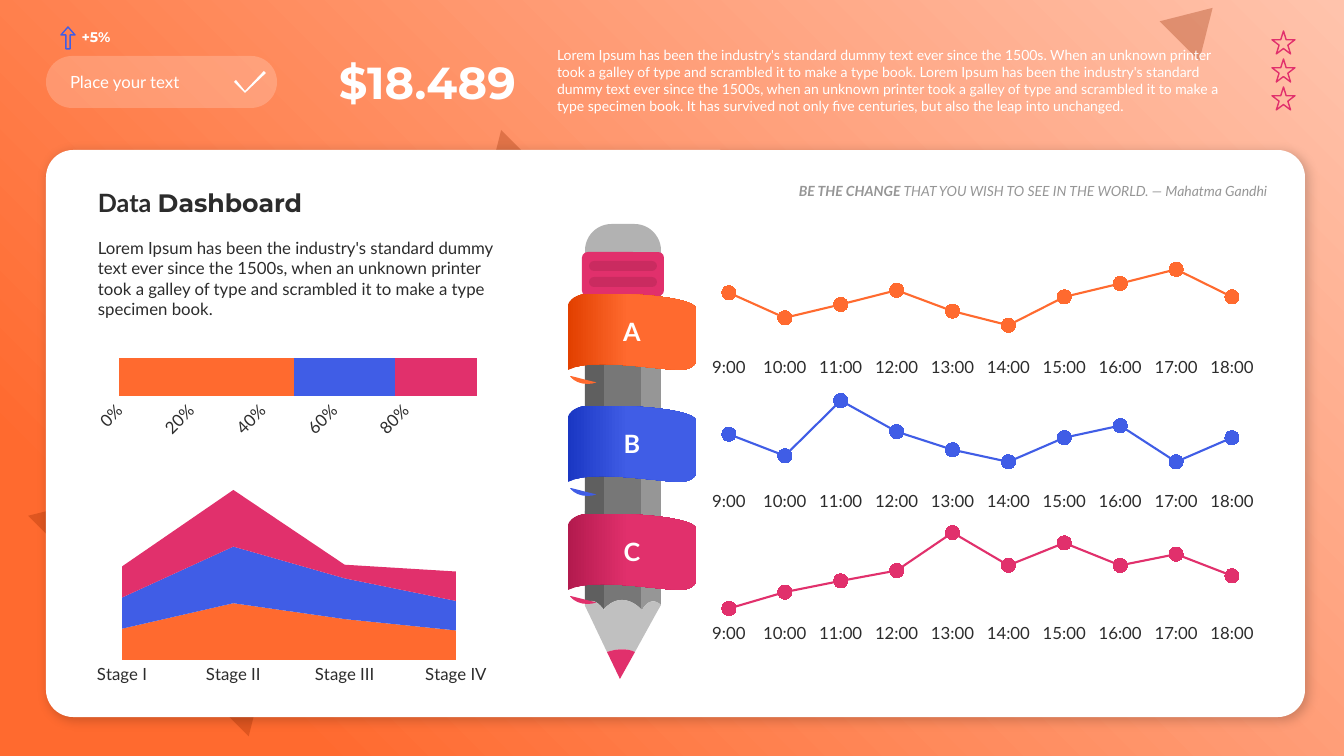
from dataclasses import dataclass

from pptx import Presentation
from pptx.chart.data import CategoryChartData
from pptx.dml.color import RGBColor
from pptx.enum.chart import XL_CHART_TYPE as CHART, XL_MARKER_STYLE as MARKER, XL_TICK_MARK as TICK
from pptx.enum.shapes import MSO_SHAPE as SHAPE
from pptx.enum.text import MSO_ANCHOR as ANCHOR, PP_ALIGN as ALIGN
from pptx.oxml import parse_xml
from pptx.oxml.ns import nsdecls, qn
from pptx.util import Pt


@dataclass(frozen=True)
class Theme:
    orange: str = "FF6A2F"
    blue: str = "405DE6"
    pink: str = "E1306C"
    peach: str = "FFC3AC"
    rust: str = "972B00"
    white: str = "FFFFFF"
    black: str = "000000"
    ink: str = "2C2C2C"
    axis: str = "DFDFDF"
    light: str = "969696"
    mid: str = "777777"
    dark: str = "5F5F5F"
    wood: str = "C0C0C0"
    eraser: str = "B2B2B2"
    body_font: str = "Lato"
    head_font: str = "Montserrat"
    small: int = 10
    body: int = 12
    title: int = 18
    figure: int = 32


T = Theme()
rgb = RGBColor.from_string
PX = 9071  # EMU in one px
prs = Presentation()
prs.slide_width, prs.slide_height = 1344 * PX, 756 * PX
shapes = prs.slides.add_slide(prs.slide_layouts[6]).shapes


def paint(sp, fill, alpha=100, angle=0):
    """Fill with one colour, or with a gradient of two (position, colour) stops."""
    sp.shadow.inherit = False
    sp.line.fill.background()
    if isinstance(fill, str):
        sp.fill.solid()
        sp.fill.fore_color.rgb = rgb(fill)
        if alpha < 100:
            clr = sp.fill._xPr.find(".//" + qn("a:srgbClr"))
            clr.append(parse_xml(f'<a:alpha {nsdecls("a")} val="{alpha * 1000}"/>'))
        return
    sp.fill.gradient()
    sp.fill.gradient_angle = angle
    for stop, (position, colour) in zip(sp.fill.gradient_stops, fill):
        stop.position, stop.color.rgb = position, rgb(colour)


def outline(points, fill, top=0):
    """Closed outline: a pair is a line to a point, six numbers are a Bezier curve."""
    (x, y), *rest = points
    fb = shapes.build_freeform(x * PX, (y + top) * PX)
    track = []
    for point in rest:
        if len(point) == 2:
            track.append(point)
        else:
            ax, ay, bx, by, ex, ey = point
            for t in (i / 12 for i in range(1, 13)):
                w = (1 - t) ** 3, 3 * t * (1 - t) ** 2, 3 * t * t * (1 - t), t ** 3
                track.append((w[0] * x + w[1] * ax + w[2] * bx + w[3] * ex,
                              w[0] * y + w[1] * ay + w[2] * by + w[3] * ey))
        x, y = point[-2:]
    fb.add_line_segments([(px * PX, (py + top) * PX) for px, py in track])
    sp = fb.convert_to_shape()
    paint(sp, fill)
    return sp


# Backdrop, header pill and card
backdrop = shapes.add_shape(SHAPE.RECTANGLE, 0, 0, prs.slide_width, prs.slide_height)
paint(backdrop, [(0, T.peach), (0.85, T.orange)])
lin = backdrop._element.spPr.find(".//" + qn("a:lin"))
lin.getparent().replace(lin, parse_xml(
    f'<a:path {nsdecls("a")} path="circle"><a:fillToRect l="100000" b="100000"/></a:path>'))

for box, rotation in [((74, 405, 312, 259), 45), ((461, 151, 91, 76), 225), ((1168, 1, 56, 47), 45)]:
    sp = shapes.add_shape(SHAPE.ISOSCELES_TRIANGLE, *(v * PX for v in box))
    sp.rotation = rotation
    paint(sp, T.rust, 30)

# Header pill, card and the straight parts of the pencil: box, corner, fill, opacity
panels = [
    ((46, 56, 231, 52), 0.5, T.white, 20),
    ((46, 150, 1259, 567), 0.048, T.white, 100),
    ((641, 291, 20, 230), 0, T.light, 100),
    ((604, 291, 37, 230), 0, T.mid, 100),
    ((585, 291, 19, 230), 0, T.dark, 100),
    ((585, 287, 76, 14), 0, T.black, 20),
    ((585, 224, 76, 53), 0.5, T.eraser, 100),
    ((582, 252, 82, 44), 0.128, T.pink, 100),
    ((589, 261, 68, 10), 0.5, T.black, 10),
    ((589, 277, 68, 10), 0.5, T.black, 10),
]
for box, corner, fill, alpha in panels:
    kind = SHAPE.ROUNDED_RECTANGLE if corner else SHAPE.RECTANGLE
    sp = shapes.add_shape(kind, *(v * PX for v in box))
    if corner:
        sp.adjustments[0] = corner
    paint(sp, fill, alpha)
    if box[2] > 1000:
        sp._element.spPr.find(qn("a:effectLst")).append(parse_xml(
            f'<a:outerShdw {nsdecls("a")} blurRad="{Pt(8)}" dist="{Pt(3)}" dir="2700000">'
            f'<a:srgbClr val="{T.black}"><a:alpha val="20000"/></a:srgbClr></a:outerShdw>'))

# Header icons
outline([(264, 71), (245, 91), (236, 80), (234, 82), (245, 93), (266, 73)], T.white)
icons = [(SHAPE.UP_ARROW, (61, 27, 14, 22), T.blue)]
icons += [(SHAPE.STAR_5_POINT, (1272, 31 + 28 * i, 23, 23), T.pink) for i in range(3)]
for kind, box, colour in icons:
    sp = shapes.add_shape(kind, *(v * PX for v in box))
    sp.shadow.inherit = False
    sp.fill.background()
    sp.line.color.rgb, sp.line.width = rgb(colour), Pt(1)
    if kind == SHAPE.UP_ARROW:
        sp.adjustments[0], sp.adjustments[1] = 0.3, 0.57

# Lower end of the pencil
outline([(641, 511), (661, 511), (661, 605), (661, 605, 651, 594, 642, 610), (641, 609)], T.light)
outline([(604, 511), (641, 511), (641, 609), (639, 607, 632, 600, 622, 600),
         (612, 600, 606, 607, 604, 609)], T.mid)
outline([(585, 511), (604, 511), (604, 610), (604, 610, 598, 601, 592, 601),
         (588, 601, 586, 603, 585, 604)], T.dark)
outline([(592, 601), (598, 601, 604, 610, 604, 610), (606, 607, 612, 600, 622, 600),
         (632, 600, 639, 607, 642, 610), (651, 594, 661, 605, 661, 605), (657, 612), (635, 652),
         (622, 646, 608, 652, 607, 652), (588, 612), (585, 606), (585, 604),
         (586, 603, 588, 601, 592, 601)], T.wood)
outline([(635, 652), (620, 679), (607, 652), (608, 652, 622, 646, 635, 652)], T.pink)

# Ribbons wrapped round the pencil
ribbon = [(696, 15), (697, 4, 635, -2, 585, 0), (577, 1, 568, 6, 568, 12), (568, 76),
          (590, 63, 659, 76, 680, 76), (688, 76, 696, 72, 696, 67)]
for letter, top, colour, shade, fold_shade in [("C", 514, T.pink, "B31A4E", "771134"),
                                               ("B", 406, T.blue, "1A37C3", "112582"),
                                               ("A", 294, T.orange, "E24000", T.rust)]:
    fold = shapes.add_shape(SHAPE.CHORD, 568 * PX, (top + 62) * PX, 39 * PX, 28 * PX)
    fold.adjustments[0], fold.adjustments[1] = 54.609 * 0.6, 162 * 0.6
    paint(fold, [(0.27, colour), (0.69, fold_shade)], angle=70)
    sp = outline(ribbon, [(0, shade), (0.47, colour)], top)
    tf = sp.text_frame
    tf.text, tf.vertical_anchor = letter, ANCHOR.MIDDLE
    p = tf.paragraphs[0]
    p.alignment = ALIGN.CENTER
    f = p.runs[0].font
    f.name, f.size, f.bold, f.color.rgb = T.body_font, Pt(T.title), True, rgb(T.white)

# Charts: type, frame, plot area, categories, (colour, values), top of the value axis
hours = [f"{h}:00" for h in range(9, 19)]
stages = ["Stage I", "Stage II", "Stage III", "Stage IV"]
charts = [
    (CHART.AREA_STACKED, (89, 468, 406, 222), (122, 490, 334, 170), stages,
     [(T.orange, (55, 100, 72, 52)), (T.blue, (55, 100, 72, 52)), (T.pink, (55, 100, 24, 52))], 300),
    (CHART.BAR_STACKED_100, (88, 356, 404, 90), (119, 358, 358, 38), ["1"],
     [(T.orange, (49,)), (T.blue, (28,)), (T.pink, (23,))], None),
    (CHART.LINE_MARKERS, (689, 252, 582, 127), (701, 261, 559, 92), hours,
     [(T.orange, (72, 42, 58, 75, 50, 33, 67, 83, 100, 67))], 110),
    (CHART.LINE_MARKERS, (689, 386, 582, 127), (701, 392, 559, 95), hours,
     [(T.blue, (61, 36, 100, 64, 43, 29, 57, 71, 29, 57))], 110),
    (CHART.LINE_MARKERS, (689, 519, 582, 127), (701, 524, 559, 95), hours,
     [(T.pink, (12, 31, 44, 56, 100, 62, 88, 62, 75, 50))], 110),
]
for kind, frame, plot_box, categories, series, top in charts:
    data = CategoryChartData()
    data.categories = categories
    for i, (_, values) in enumerate(series, 1):
        data.add_series(f"Series {i}", values)
    chart = shapes.add_chart(kind, *(v * PX for v in frame), data).chart
    chart.has_legend = chart.has_title = False
    chart.font.name, chart.font.size, chart.font.color.rgb = T.body_font, Pt(T.body), rgb(T.ink)
    plot, cat, val = chart.plots[0], chart.category_axis, chart.value_axis
    plot.vary_by_categories = False
    val.has_major_gridlines = cat.has_major_gridlines = False
    val.major_tick_mark = cat.major_tick_mark = TICK.NONE
    val.format.line.fill.background()
    cat.format.line.fill.background()
    if kind == CHART.BAR_STACKED_100:
        cat.visible = False
        plot.gap_width, plot.overlap = 0, 100
        val.tick_labels.number_format, val.tick_labels.number_format_is_linked = "0%", False
        val.tick_labels.font.size = Pt(T.body)
        val._element.find(qn("c:txPr")).find(qn("a:bodyPr")).set("rot", "-2700000")
    else:
        val.visible = False
        val.minimum_scale, val.maximum_scale = 0, top
    if kind == CHART.AREA_STACKED:
        cat.format.line.color.rgb, cat.format.line.width = rgb(T.axis), Pt(0.75)
    for s, (colour, _) in zip(plot.series, series):
        fills = [s.format.fill]
        if kind == CHART.LINE_MARKERS:
            s.smooth = False
            s.format.line.color.rgb, s.format.line.width = rgb(colour), Pt(1.5)
            s.marker.style, s.marker.size = MARKER.CIRCLE, 10
            s.marker.format.line.color.rgb = rgb(colour)
            fills = [s.marker.format.fill]
        fills[0].solid()
        fills[0].fore_color.rgb = rgb(colour)
    area = chart._chartSpace.find(".//" + qn("c:plotArea"))
    for cross in area.iter(qn("c:crossBetween")):
        cross.set("val", "midCat" if kind == CHART.AREA_STACKED else "between")
    for layout in area.findall(qn("c:layout")):
        area.remove(layout)
    x, y, w, h = ((plot_box[i] - (frame[i] if i < 2 else 0)) / frame[2 + i % 2] for i in range(4))
    area.insert(0, parse_xml(
        f'<c:layout {nsdecls("c")}><c:manualLayout><c:layoutTarget val="inner"/>'
        f'<c:xMode val="edge"/><c:yMode val="edge"/><c:x val="{x:.4f}"/><c:y val="{y:.4f}"/>'
        f'<c:w val="{w:.4f}"/><c:h val="{h:.4f}"/></c:manualLayout></c:layout>'))

# Text: box, side inset, alignment, anchor, size, colour, italic, runs of (text, font, bold)
lorem = "Lorem Ipsum has been the industry's standard dummy text ever since the 1500s"
galley = "hen an unknown printer took a galley of type and scrambled it to make a type"
texts = [
    ((60, 67, 190, 30), 10, ALIGN.LEFT, ANCHOR.MIDDLE, T.body, T.white, False,
     [("Place your text", T.body_font, False)]),
    ((322, 49, 204, 65), 10, ALIGN.RIGHT, ANCHOR.MIDDLE, T.figure, T.white, False,
     [("$18.489", T.head_font, True)]),
    ((547, 42, 704, 78), 10, ALIGN.LEFT, ANCHOR.TOP, T.small, T.white, False,
     [(f"{lorem}. W{galley} book. {lorem}, w{galley} specimen book. It has survived "
       "not only five centuries, but also the leap into unchanged.", T.body_font, False)]),
    ((75, 24, 42, 27), 0, ALIGN.CENTER, ANCHOR.TOP, T.small, T.white, False,
     [("+5%", T.head_font, True)]),
    ((88, 233, 436, 92), 10, ALIGN.LEFT, ANCHOR.TOP, T.body, T.ink, False,
     [(f"{lorem}, w{galley} specimen book.", T.body_font, False)]),
    ((88, 183, 436, 40), 10, ALIGN.LEFT, ANCHOR.BOTTOM, T.title, T.ink, False,
     [("Data ", T.body_font, True), ("Dashboard", T.head_font, True)]),
    ((564, 177, 707, 27), 4, ALIGN.RIGHT, ANCHOR.MIDDLE, T.small, T.light, True,
     [("BE THE CHANGE ", T.body_font, True),
      ("THAT YOU WISH TO SEE IN THE WORLD. ― Mahatma Gandhi", T.body_font, False)]),
]
for box, inset, align, anchor, size, colour, italic, runs in texts:
    tf = shapes.add_textbox(*(v * PX for v in box)).text_frame
    tf.word_wrap, tf.vertical_anchor = True, anchor
    tf.margin_left = tf.margin_right = inset * PX
    p = tf.paragraphs[0]
    p.alignment = align
    for text, font, bold in runs:
        r = p.add_run()
        r.text = text
        f = r.font
        f.name, f.size, f.bold, f.italic, f.color.rgb = font, Pt(size), bold, italic, rgb(colour)

prs.save("out.pptx")
